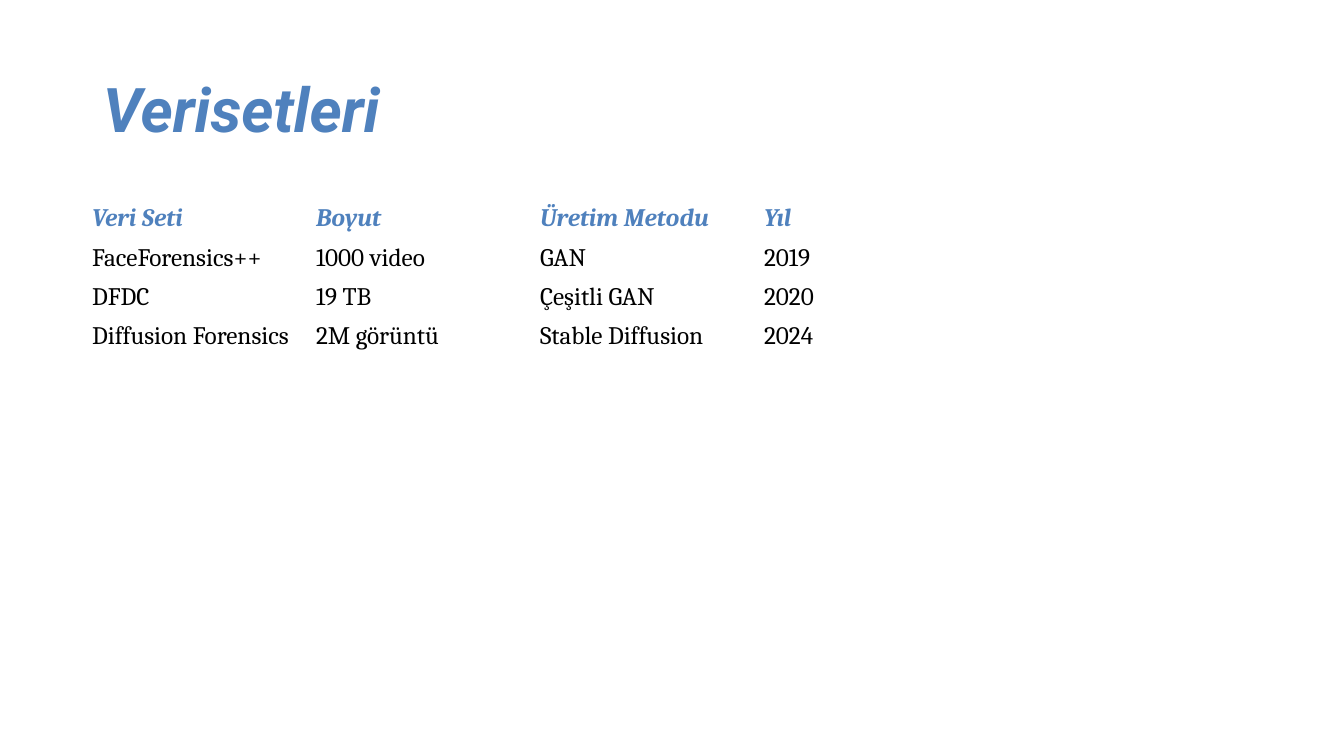
from pptx import Presentation
from pptx.dml.color import RGBColor
from pptx.enum import text
from pptx.util import Pt

TITLE = "Verisetleri"
ROWS = [
    ("Veri Seti", "Boyut", "Üretim Metodu", "Yıl"),
    ("FaceForensics++", "1000 video", "GAN", "2019"),
    ("DFDC", "19 TB", "Çeşitli GAN", "2020"),
    ("Diffusion Forensics", "2M görüntü", "Stable Diffusion", "2024"),
]
BLUE, BLACK = "4F81BD", "000000"
SLIDE = (1344, 756)
TITLE_BOX = (93, 40, 1159, 146)
TABLE_BOX = (82, 199, 896, 157)


def px(n):
    return round(n * 914400 / 100.8)


def color(code):
    return RGBColor.from_string(code)


def write(frame, words, size=18, face="Cambria", ink=BLACK, strong=False, space=None):
    """Fill a text frame with one paragraph; strong means bold italic."""
    frame.word_wrap = True
    para = frame.paragraphs[0]
    para.line_spacing = space
    run = para.add_run()
    run.text = words
    font = run.font
    font.name, font.size = face, Pt(size)
    font.bold = font.italic = strong
    font.color.rgb = color(ink)


def add_title(slide):
    frame = slide.shapes.add_textbox(*map(px, TITLE_BOX)).text_frame
    frame.vertical_anchor = text.MSO_ANCHOR.MIDDLE
    write(frame, TITLE, size=44, face="Roboto", ink=BLUE, strong=True, space=0.9)


def add_grid(slide):
    table = slide.shapes.add_table(len(ROWS), len(ROWS[0]), *map(px, TABLE_BOX)).table
    table.first_row = table.horz_banding = False
    for r, row in enumerate(ROWS):
        head = r == 0
        for c, words in enumerate(row):
            cell = table.cell(r, c)
            cell.fill.background()
            cell.margin_top = cell.margin_bottom = 0
            cell.vertical_anchor = text.MSO_ANCHOR.MIDDLE
            write(cell.text_frame, words, ink=BLUE if head else BLACK, strong=head)


def main():
    deck = Presentation()
    deck.slide_width, deck.slide_height = map(px, SLIDE)
    slide = deck.slides.add_slide(deck.slide_layouts[6])
    add_title(slide)
    add_grid(slide)
    deck.save("out.pptx")


if __name__ == "__main__":
    main()
